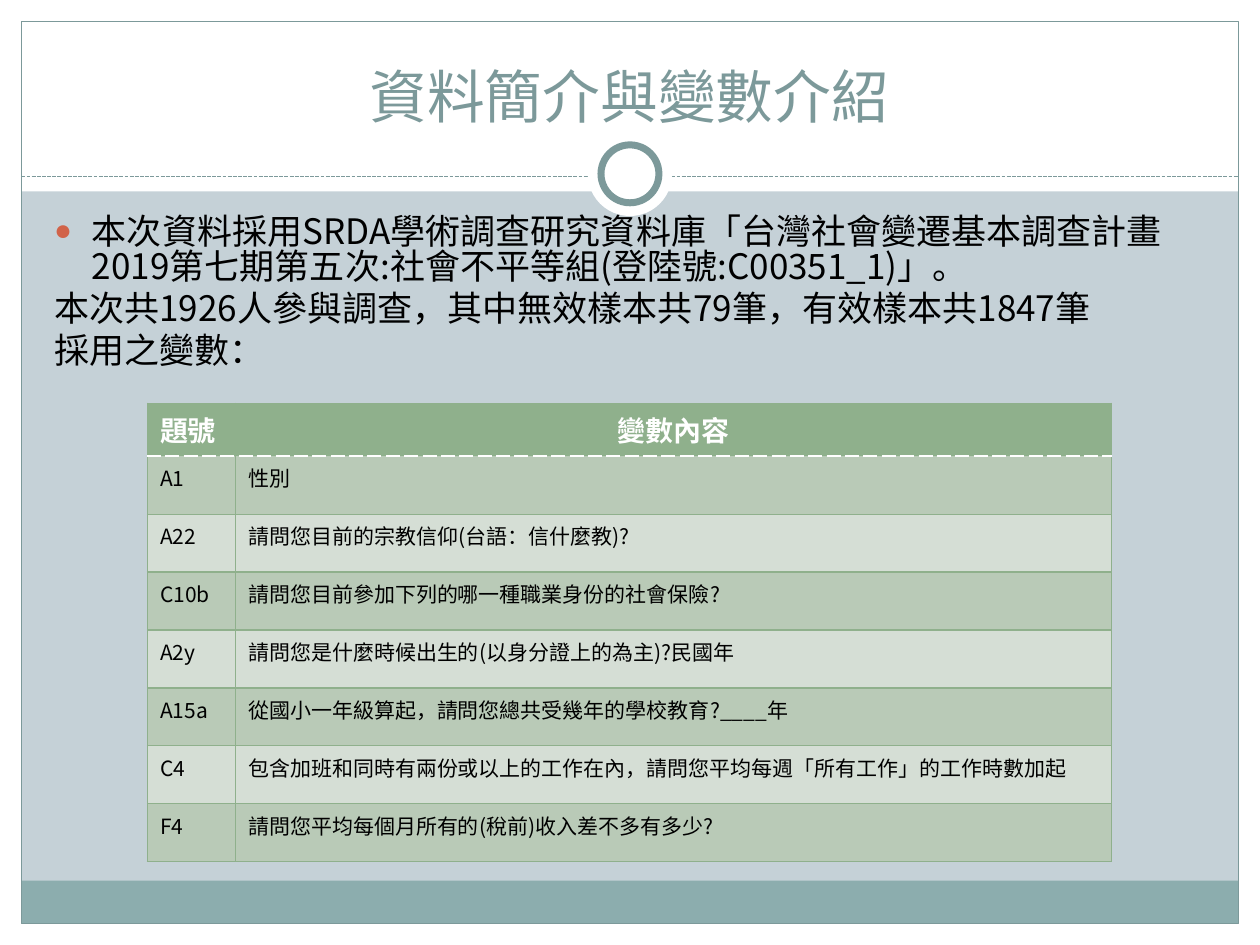
from dataclasses import dataclass

from lxml.etree import SubElement
from pptx import Presentation
from pptx.dml.color import RGBColor
from pptx.enum.dml import MSO_LINE
from pptx.enum.shapes import MSO_CONNECTOR, MSO_SHAPE
from pptx.enum.text import MSO_ANCHOR, MSO_AUTO_SIZE, PP_ALIGN
from pptx.oxml import parse_xml
from pptx.oxml.ns import nsdecls, qn
from pptx.util import Inches, Pt


@dataclass(frozen=True)
class Theme:
    background: str = "C5D1D7"
    paper: str = "FFFFFF"
    accent: str = "7C999A"
    footer: str = "8CADAE"
    bullet: str = "D16349"
    ink: str = "000000"
    header: str = "8FB08C"
    bands: tuple = ("B9CAB7", "D5DED5")
    heading_font: str = "Cambria"
    body_font: str = "Noto Sans CJK SC"
    title_size: int = 33
    body_size: int = 20
    header_size: int = 16
    cell_size: int = 12


THEME = Theme()
WIDTH, HEIGHT = 10, 7.5
MARGIN = 0.17
INNER_W, INNER_H = WIDTH - 2 * MARGIN, HEIGHT - 2 * MARGIN
BAND_H, DIVIDER_Y, FOOTER_H = 1.52, 1.4, 0.34
RING_CENTER_Y = 1.38

TITLE = "資料簡介與變數介紹"
INTRO = [
    "本次資料採用SRDA學術調查研究資料庫「台灣社會變遷基本調查計畫2019第七期第五次:社會不平等組(登陸號:C00351_1)」。",
    "本次共1926人參與調查，其中無效樣本共79筆，有效樣本共1847筆",
    "採用之變數：",
]
VARIABLES = [
    ("題號", "變數內容"),
    ("A1", "性別"),
    ("A22", "請問您目前的宗教信仰(台語：信什麼教)?"),
    ("C10b", "請問您目前參加下列的哪一種職業身份的社會保險?"),
    ("A2y", "請問您是什麼時候出生的(以身分證上的為主)?民國年"),
    ("A15a", "從國小一年級算起，請問您總共受幾年的學校教育?____年"),
    ("C4", "包含加班和同時有兩份或以上的工作在內，請問您平均每週「所有工作」的工作時數加起"),
    ("F4", "請問您平均每個月所有的(稅前)收入差不多有多少?"),
]
COLUMN_WIDTHS = (0.7, 6.95)
HEADER_H, ROW_H = 0.42, 0.46


def rgb(color):
    return RGBColor.from_string(color)


def write(paragraph, text, font, size, color, bold=False):
    run = paragraph.add_run()
    run.text = text
    formats = {"name": font, "size": Pt(size), "bold": bold}
    for attribute, value in formats.items():
        setattr(run.font, attribute, value)
    run.font.color.rgb = rgb(color)
    SubElement(run.font._element, qn("a:ea"), typeface=THEME.body_font)


def place(shape, left, top, width, height):
    box = {"left": left, "top": top, "width": width, "height": height}
    for attribute, value in box.items():
        setattr(shape, attribute, Inches(value))


def add_panel(slide, box, fill=None, line=None, weight=0.75, kind=MSO_SHAPE.RECTANGLE):
    panel = slide.shapes.add_shape(kind, *map(Inches, box))
    panel.shadow.inherit = False
    if fill:
        panel.fill.solid()
        panel.fill.fore_color.rgb = rgb(fill)
    else:
        panel.fill.background()
    if line:
        panel.line.color.rgb = rgb(line)
        panel.line.width = Pt(weight)
    else:
        panel.line.fill.background()


def add_disc(slide, diameter, **style):
    box = (WIDTH / 2 - diameter / 2, RING_CENTER_Y - diameter / 2, diameter, diameter)
    add_panel(slide, box, THEME.paper, kind=MSO_SHAPE.OVAL, **style)


def add_divider(slide):
    ends = map(Inches, (MARGIN, DIVIDER_Y, WIDTH - MARGIN, DIVIDER_Y))
    divider = slide.shapes.add_connector(MSO_CONNECTOR.STRAIGHT, *ends)
    divider.line.color.rgb = rgb(THEME.accent)
    divider.line.width = Pt(0.75)
    divider.line.dash_style = MSO_LINE.SQUARE_DOT
    SubElement(divider.element.spPr, qn("a:effectLst"))


def add_backdrop(slide):
    slide.background.fill.solid()
    slide.background.fill.fore_color.rgb = rgb(THEME.background)
    # White page edges and title band
    for box in (
        (0, HEIGHT - MARGIN, WIDTH, MARGIN),
        (0, 0, WIDTH, BAND_H),
        (0, 0, MARGIN, HEIGHT),
        (WIDTH - MARGIN, 0, MARGIN, HEIGHT),
    ):
        add_panel(slide, box, THEME.paper)
    # Footer bar, frame, divider and ring
    add_panel(slide, (MARGIN, HEIGHT - MARGIN - FOOTER_H, INNER_W, FOOTER_H), THEME.footer)
    add_panel(slide, (MARGIN, MARGIN, INNER_W, INNER_H), line=THEME.accent)
    add_divider(slide)
    add_disc(slide, 0.67)
    add_disc(slide, 0.46, line=THEME.accent, weight=4)


def bring_forward(placeholder):
    placeholder.element.getparent().append(placeholder.element)


def fill_title(title):
    place(title, 0.33, 0.25, 9.33, 0.83)
    frame = title.text_frame
    frame.auto_size = MSO_AUTO_SIZE.NONE
    frame.vertical_anchor = MSO_ANCHOR.BOTTOM
    frame.paragraphs[0].alignment = PP_ALIGN.CENTER
    write(frame.paragraphs[0], TITLE, THEME.heading_font, THEME.title_size, THEME.accent)
    bring_forward(title)


def set_bullet(paragraph, shown):
    properties = paragraph._p.get_or_add_pPr()
    properties.set("marL", str(Inches(0.3)))
    properties.set("indent", str(-Inches(0.3)))
    if not shown:
        SubElement(properties, qn("a:buNone"))
        return
    color = SubElement(properties, qn("a:buClr"))
    SubElement(color, qn("a:srgbClr"), val=THEME.bullet)
    SubElement(properties, qn("a:buSzPct"), val="85000")
    SubElement(properties, qn("a:buChar"), char="●")


def fill_intro(body):
    place(body, 0.33, 1.67, 9.3, 5)
    frame = body.text_frame
    frame.auto_size = MSO_AUTO_SIZE.NONE
    for index, text in enumerate(INTRO):
        paragraph = frame.add_paragraph() if index else frame.paragraphs[0]
        paragraph.line_spacing = 0.83
        paragraph.space_before = Pt(0.2 * THEME.body_size)
        set_bullet(paragraph, shown=index == 0)
        write(paragraph, text, THEME.body_font, THEME.body_size, THEME.ink)
    bring_forward(body)


def set_borders(cell, row):
    green, dashed = (THEME.header, 0.75, "solid"), (THEME.paper, 0.9, "sysDash")
    sides = {"L": green, "R": green, "T": green, "B": green}
    if row < 2:
        sides["T" if row else "B"] = dashed
    properties = cell._tc.get_or_add_tcPr()
    for position, (side, (color, weight, dash)) in enumerate(sides.items()):
        properties.insert(position, parse_xml(
            f'<a:ln{side} {nsdecls("a")} w="{Pt(weight)}"><a:solidFill>'
            f'<a:srgbClr val="{color}"/></a:solidFill><a:prstDash val="{dash}"/></a:ln{side}>'))


def add_variable_table(slide):
    row_heights = [HEADER_H] + [ROW_H] * (len(VARIABLES) - 1)
    box = (1.17, 3.2, sum(COLUMN_WIDTHS), sum(row_heights))
    table = slide.shapes.add_table(len(VARIABLES), len(COLUMN_WIDTHS), *map(Inches, box)).table
    for column, width in zip(table.columns, COLUMN_WIDTHS):
        column.width = Inches(width)
    for row, texts in enumerate(VARIABLES):
        table.rows[row].height = Inches(row_heights[row])
        for column, text in enumerate(texts):
            cell = table.cell(row, column)
            cell.fill.solid()
            cell.fill.fore_color.rgb = rgb(THEME.bands[(row - 1) % 2] if row else THEME.header)
            set_borders(cell, row)
            paragraph = cell.text_frame.paragraphs[0]
            if row:
                write(paragraph, text, THEME.body_font, THEME.cell_size, THEME.ink)
            else:
                paragraph.alignment = PP_ALIGN.CENTER if column else PP_ALIGN.LEFT
                write(paragraph, text, THEME.heading_font, THEME.header_size, THEME.paper, True)


def main():
    deck = Presentation()
    deck.slide_width, deck.slide_height = Inches(WIDTH), Inches(HEIGHT)
    slide = deck.slides.add_slide(deck.slide_layouts[1])
    add_backdrop(slide)
    fill_title(slide.shapes.title)
    fill_intro(slide.placeholders[1])
    add_variable_table(slide)
    deck.save("out.pptx")


if __name__ == "__main__":
    main()
